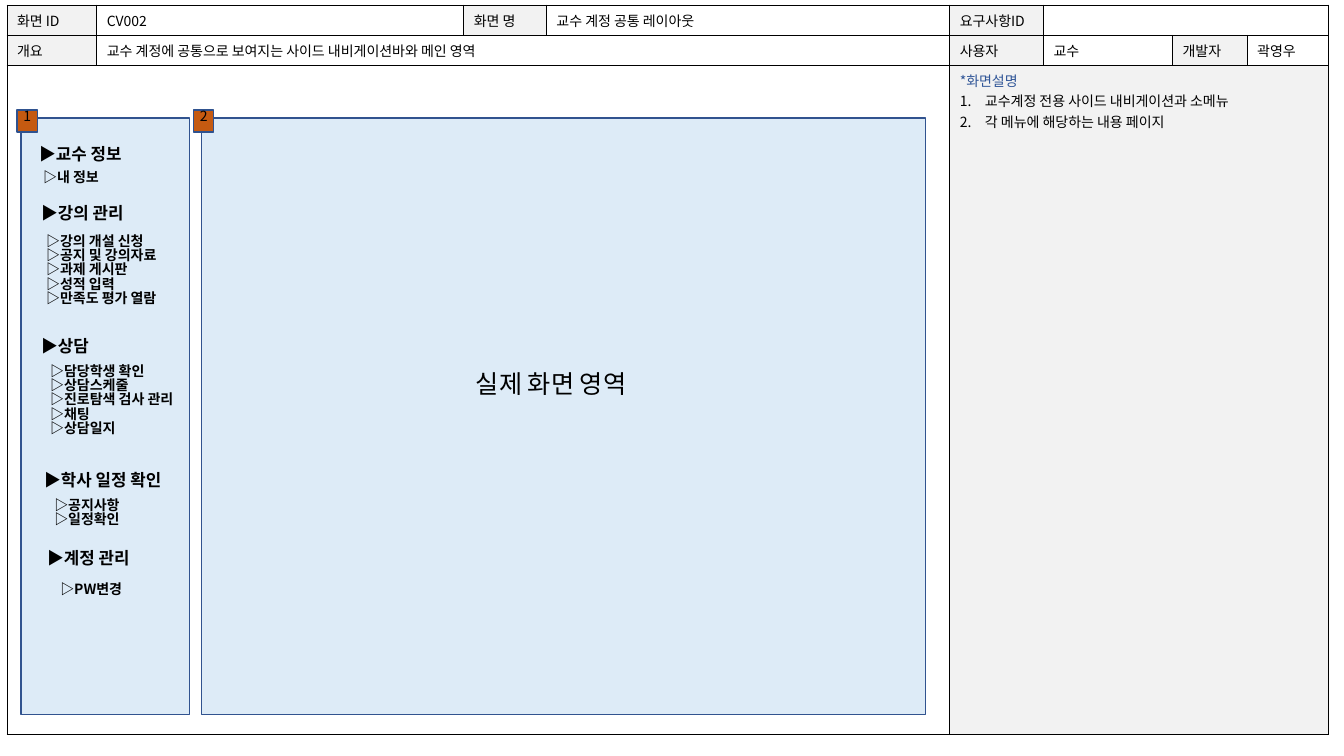
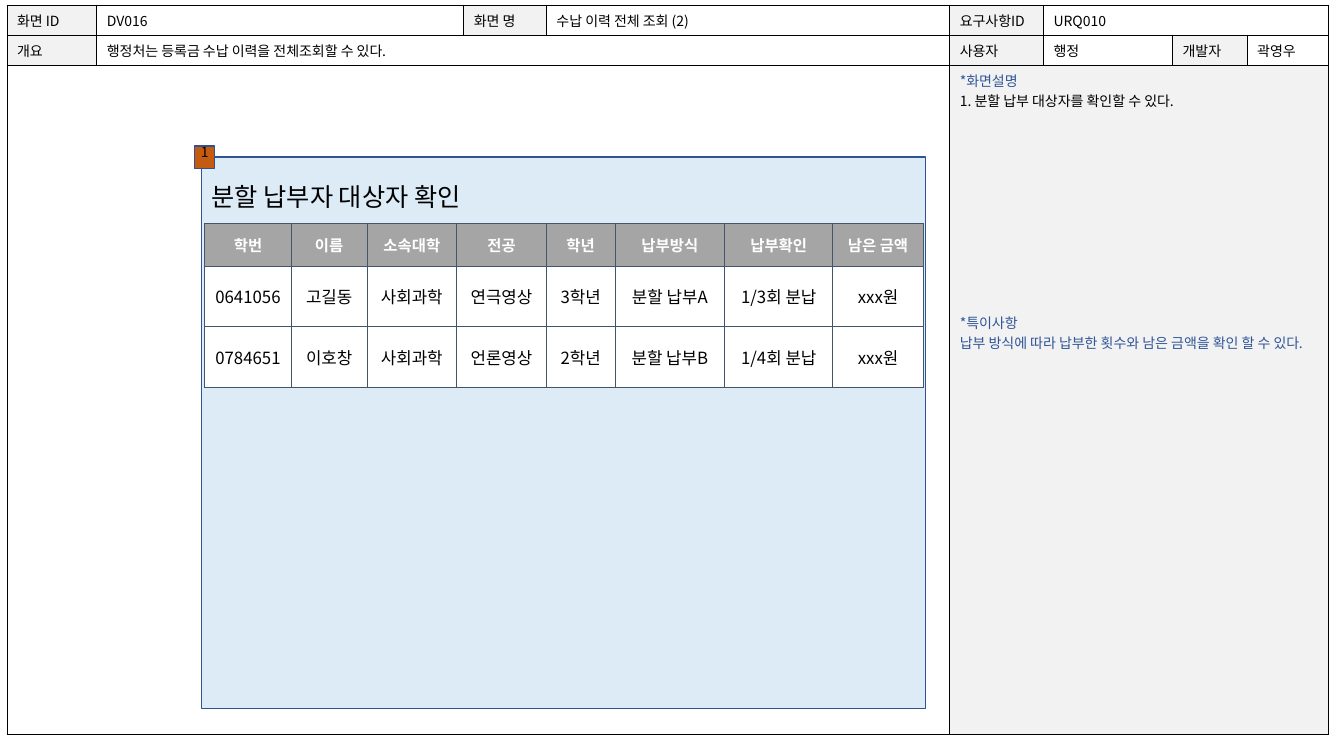
from dataclasses import dataclass

from lxml.etree import SubElement
from pptx import Presentation
from pptx.dml.color import RGBColor
from pptx.enum.shapes import MSO_SHAPE
from pptx.enum.text import MSO_ANCHOR, MSO_AUTO_SIZE, PP_ALIGN
from pptx.oxml.ns import qn
from pptx.util import Inches, Pt

LEFT, CENTER = PP_ALIGN.LEFT, PP_ALIGN.CENTER
TOP, MIDDLE = MSO_ANCHOR.TOP, MSO_ANCHOR.MIDDLE
RECTANGLE = MSO_SHAPE.RECTANGLE
TITLE_ONLY, BLANK = 5, 6


@dataclass(frozen=True)
class Theme:
    font: str = "Noto Sans CJK KR"
    ink: str = "000000"
    paper: str = "FFFFFF"
    label: str = "F2F2F2"
    accent: str = "2F5597"
    panel: str = "DDEBF7"
    panel_line: str = "31538F"
    badge: str = "C55A11"
    badge_line: str = "2F528F"
    header: str = "A5A5A5"
    grid_line: str = "44546A"
    body: int = 10
    column: int = 11
    menu: int = 12
    heading: int = 18
    tight: float = 0.85


theme = Theme()


def write(frame, text, size=theme.body, color=theme.ink, bold=False, align=LEFT,
          spacing=1.0, before=0, numbered=False, inset=(0.1, 0.05), anchor=TOP):
    frame.word_wrap = True
    frame.vertical_anchor = anchor
    frame.margin_left = frame.margin_right = Inches(inset[0])
    frame.margin_top = frame.margin_bottom = Inches(inset[1])
    for line in text.split("\n"):
        para = frame.add_paragraph() if frame.text else frame.paragraphs[0]
        para.alignment = align
        para.line_spacing = spacing
        if before:
            para.space_before = Pt(before)
        if numbered:
            properties = para._p.get_or_add_pPr()
            properties.set("marL", str(Inches(0.25)))
            properties.set("indent", str(-Inches(0.25)))
            SubElement(properties, qn("a:buFont"), typeface="+mj-lt")
            SubElement(properties, qn("a:buAutoNum"), type="arabicPeriod")
        if not line:
            SubElement(para._p, qn("a:endParaRPr"), sz=str(size * 100))
            continue
        span = para.add_run()
        span.text = line
        span.font.size = Pt(size)
        span.font.bold = bold
        span.font.color.rgb = RGBColor.from_string(color)
        span.font.name = theme.font
        SubElement(span._r.get_or_add_rPr(), qn("a:ea"), typeface=theme.font)


def make_table(page, left, top, columns, rows, line):
    frame = page.shapes.add_table(len(rows), len(columns), Inches(left), Inches(top),
                                  Inches(sum(columns)), Inches(sum(rows)))
    table = frame.table
    table.first_row = table.horz_banding = False
    for column, width in zip(table.columns, columns):
        column.width = Inches(width)
    for row, height in zip(table.rows, rows):
        row.height = Inches(height)
    for cell in table.iter_cells():
        properties = cell._tc.get_or_add_tcPr()
        for side in ("a:lnL", "a:lnR", "a:lnT", "a:lnB"):
            border = SubElement(properties, qn(side), w=str(Pt(0.75)))
            fill = SubElement(border, qn("a:solidFill"))
            SubElement(fill, qn("a:srgbClr"), val=line)
    return table


FORM_COLUMNS = [0.89, 3.64, 0.82, 4, 0.93, 1.28, 0.74, 0.81]
FORM_ROWS = [0.27, 0.29, 6.64]
FORM_MERGES = [((0, 5), (0, 7)), ((1, 1), (1, 3)), ((2, 0), (2, 3)), ((2, 4), (2, 7))]
LABEL_CELLS = {(0, 0), (0, 2), (0, 4), (1, 0), (1, 4), (1, 6)} | {(2, c) for c in range(4, 8)}
PANEL_LEFT, PANEL_WIDTH = 2, 7.18

screens = [
    dict(
        layout=BLANK,
        id="CV002", name="교수 계정 공통 레이아웃", requirement="", user="교수",
        summary="교수 계정에 공통으로 보여지는 사이드 내비게이션바와 메인 영역",
        notes=[("교수계정 전용 사이드 내비게이션과 소메뉴\n각 메뉴에 해당하는 내용 페이지",
                dict(numbered=True))],
        panels=[(0.21, 1.17, 1.67, 5.92), (PANEL_LEFT, 1.17, PANEL_WIDTH, 5.92)],
        badges=[(0.17, 1.09), (1.92, 1.09)],
    ),
    dict(
        layout=TITLE_ONLY,
        id="DV016", name="수납 이력 전체 조회 (2)", requirement="URQ010", user="행정",
        summary="행정처는 등록금 수납 이력을 전체조회할 수 있다.",
        notes=[("1. 분할 납부 대상자를 확인할 수 있다.", {}),
               ("*특이사항", dict(color=theme.accent, before=144)),
               ("납부 방식에 따라 납부한 횟수와 남은 금액을 확인 할 수 있다.",
                dict(color=theme.accent))],
        panels=[(PANEL_LEFT, 1.56, PANEL_WIDTH, 5.47)],
        badges=[(1.93, 1.45)],
    ),
]

deck = Presentation()
deck.slide_width, deck.slide_height = Inches(13.33), Inches(7.5)

for screen in screens:
    page = deck.slides.add_slide(deck.slide_layouts[screen["layout"]])
    form = make_table(page, 0.07, 0.05, FORM_COLUMNS, FORM_ROWS, theme.ink)
    texts = [
        ["화면 ID", screen["id"], "화면 명", screen["name"], "요구사항ID",
         screen["requirement"], "", ""],
        ["개요", screen["summary"], "", "", "사용자", screen["user"], "개발자", "곽영우"],
        [""] * 8,
    ]
    for start, end in FORM_MERGES:
        form.cell(*start).merge(form.cell(*end))
    notes_frame = form.cell(2, 4).text_frame
    for r, row in enumerate(texts):
        for c, text in enumerate(row):
            cell = form.cell(r, c)
            cell.fill.solid()
            shade = theme.label if (r, c) in LABEL_CELLS else theme.paper
            cell.fill.fore_color.rgb = RGBColor.from_string(shade)
            if (r, c) != (2, 4):
                write(cell.text_frame, text)
    write(notes_frame, "*화면설명", color=theme.accent)
    for text, style in screen["notes"]:
        write(notes_frame, text, **style)

    blocks = [(area, theme.panel, theme.panel_line, "") for area in screen["panels"]]
    blocks += [((*corner, 0.2, 0.22), theme.badge, theme.badge_line, str(number))
               for number, corner in enumerate(screen["badges"], 1)]
    for area, fill, line, text in blocks:
        block = page.shapes.add_shape(RECTANGLE, *map(Inches, area))
        block.shadow.inherit = False
        block.fill.solid()
        block.fill.fore_color.rgb = RGBColor.from_string(fill)
        block.line.color.rgb = RGBColor.from_string(line)
        block.line.width = Pt(1)
        if text:
            write(block.text_frame, text, align=CENTER, spacing=theme.tight, inset=(0, 0))

layout_page, payment_page = deck.slides

menu = [
    (0.29, 1.41, "▶교수 정보", 0.33, 1.65, ["▷내 정보"]),
    (0.31, 1.99, "▶강의 관리", 0.36, 2.28,
     ["▷강의 개설 신청", "▷공지 및 강의자료", "▷과제 게시판", "▷성적 입력", "▷만족도 평가 열람"]),
    (0.31, 3.31, "▶상담", 0.4, 3.57,
     ["▷담당학생 확인", "▷상담스케줄", "▷진로탐색 검사 관리", "▷채팅", "▷상담일지"]),
    (0.34, 4.64, "▶학사 일정 확인", 0.44, 4.9, ["▷공지사항", "▷일정확인"]),
    (0.37, 5.42, "▶계정 관리", 0.5, 5.74, ["▷PW변경"]),
]
for head_left, head_top, head, items_left, items_top, items in menu:
    for left, top, lines, size in ((head_left, head_top, [head], theme.menu),
                                   (items_left, items_top, items, theme.body)):
        height = 0.1 + len(lines) * size / 60
        box = layout_page.shapes.add_textbox(Inches(left), Inches(top), Inches(1.7), Inches(height))
        write(box.text_frame, "\n".join(lines), size=size, bold=True, spacing=theme.tight)

box = layout_page.shapes.add_textbox(Inches(4.52), Inches(3.6), Inches(1.89), Inches(0.44))
write(box.text_frame, "실제 화면 영역", size=theme.heading, align=CENTER,
      spacing=theme.tight, inset=(0.1, 0.1))

payments = [
    ["학번", "이름", "소속대학", "전공", "학년", "납부방식", "납부확인", "남은 금액"],
    ["0641056", "고길동", "사회과학", "연극영상", "3학년", "분할 납부A", "1/3회 분납", "xxx원"],
    ["0784651", "이호창", "사회과학", "언론영상", "2학년", "분할 납부B", "1/4회 분납", "xxx원"],
]
table = make_table(payment_page, 2.03, 2.22, [0.86, 0.75, 0.89, 0.89, 0.68, 1.09, 1.07, 0.9],
                   [0.42, 0.6, 0.6], theme.grid_line)
for r, row in enumerate(payments):
    if r == 0:
        shade, style = theme.header, dict(size=theme.column, color=theme.paper, bold=True)
    else:
        shade, style = theme.paper, dict(size=theme.menu)
    for c, text in enumerate(row):
        cell = table.cell(r, c)
        cell.fill.solid()
        cell.fill.fore_color.rgb = RGBColor.from_string(shade)
        cell.vertical_anchor = MIDDLE
        write(cell.text_frame, text, align=CENTER, inset=(0.05, 0.1), anchor=MIDDLE, **style)

title = payment_page.shapes.title
title.left, title.top, title.width, title.height = map(Inches, (2.1, 1.84, 4.08, 0.41))
title.text_frame.auto_size = MSO_AUTO_SIZE.NONE
write(title.text_frame, "분할 납부자 대상자 확인", size=theme.heading,
      spacing=theme.tight, inset=(0, 0))
title.element.getparent().append(title.element)

deck.save("out.pptx")
